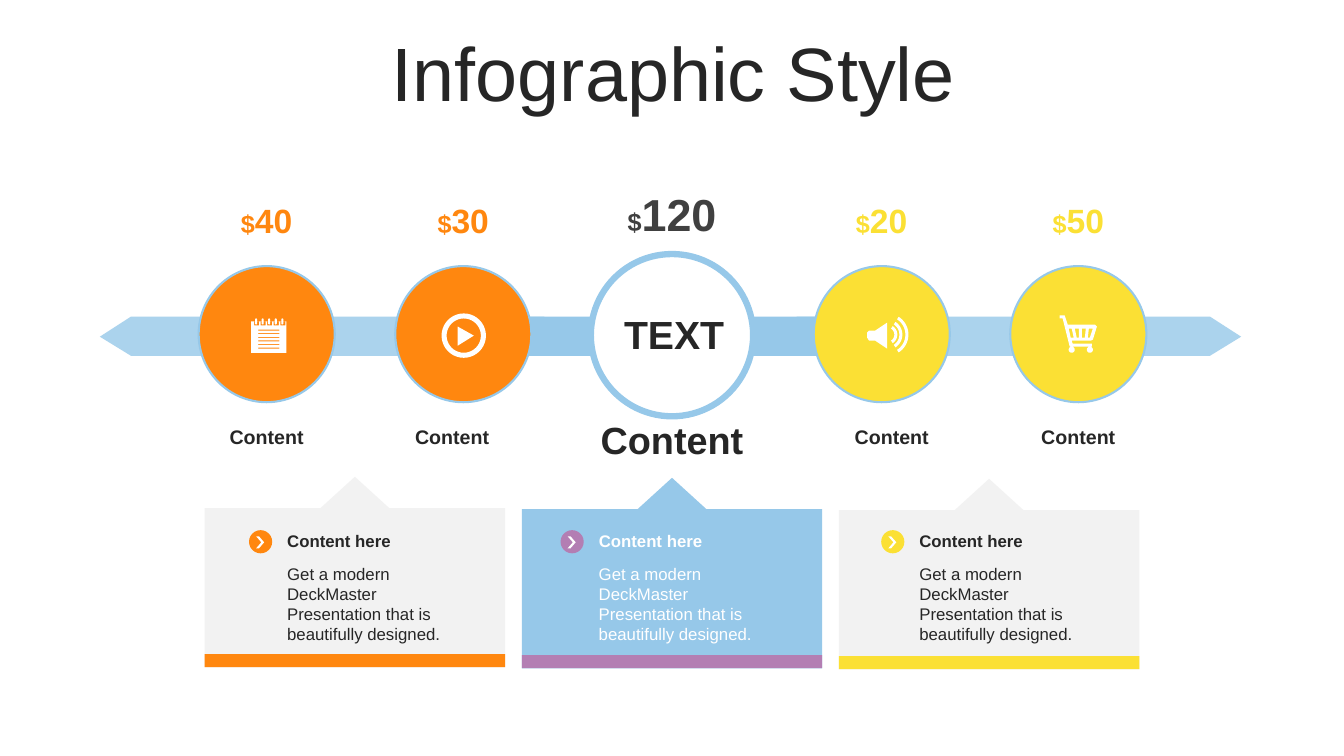
from dataclasses import dataclass
from math import cos, pi, sin
from typing import NamedTuple

from lxml import etree
from pptx import Presentation
from pptx.dml.color import RGBColor
from pptx.enum.shapes import MSO_SHAPE
from pptx.enum.text import MSO_ANCHOR, PP_ALIGN
from pptx.oxml.ns import qn
from pptx.util import Inches, Pt

RECTANGLE, OVAL, CHEVRON = MSO_SHAPE.RECTANGLE, MSO_SHAPE.OVAL, MSO_SHAPE.CHEVRON
LEFT, CENTER = PP_ALIGN.LEFT, PP_ALIGN.CENTER
TOP, MIDDLE = MSO_ANCHOR.TOP, MSO_ANCHOR.MIDDLE

Contour = list[tuple[float, float]]


@dataclass(frozen=True)
class Theme:
    font: str = "Arial"
    ink: str = "262626"
    gray: str = "404040"
    white: str = "FFFFFF"
    pale: str = "F2F2F2"
    blue: str = "96C8E9"
    orange: str = "FF870F"
    yellow: str = "FBE034"
    purple: str = "B37EB3"
    title: int = 54
    amount: int = 24
    main_amount: int = 32
    dollar: int = 18
    hub: int = 28
    label: int = 14
    main_label: int = 27
    body: int = 12


class Box(NamedTuple):
    left: float
    top: float
    width: float
    height: float


class Run(NamedTuple):
    text: str
    size: int
    color: str
    bold: bool = True


@dataclass(frozen=True)
class Station:
    amount: str
    color: str
    circle_left: float
    amount_left: float
    label_left: float


@dataclass(frozen=True)
class Card:
    fill: str
    accent: str
    ink: str
    badge_left: float


THEME = Theme()
STATIONS = [
    Station("40", THEME.orange, 1.97, 2.08, 2.08),
    Station("30", THEME.orange, 3.92, 4.03, 3.92),
    Station("20", THEME.yellow, 8.07, 8.18, 8.28),
    Station("50", THEME.yellow, 10.02, 10.13, 10.13),
]
CARDS = [
    Card(THEME.pale, THEME.orange, THEME.ink, 2.47),
    Card(THEME.blue, THEME.purple, THEME.white, 5.56),
    Card(THEME.pale, THEME.yellow, THEME.ink, 8.74),
]
CARD_LEFT, CARD_TOP, CARD_WIDTH = 2.03, 5.04, 2.98
CARD_PITCH, CARD_STEP = (8.32 - 2.03) / 2, 0.01

prs = Presentation()
prs.slide_width, prs.slide_height = Inches(13.33), Inches(7.5)
slide = prs.slides.add_slide(prs.slide_layouts[5])


def emu(box: Box) -> list[int]:
    return [Inches(value) for value in box]


def paint(shape, fill: str, line: str | None = None, weight: float = 0) -> None:
    shape.shadow.inherit = False
    shape.fill.solid()
    shape.fill.fore_color.rgb = RGBColor.from_string(fill)
    if line:
        shape.line.color.rgb = RGBColor.from_string(line)
        shape.line.width = Pt(weight)
    else:
        shape.line.fill.background()


def draw_shape(kind, box: Box, fill: str, line: str | None = None, weight: float = 0):
    shape = slide.shapes.add_shape(kind, *emu(box))
    paint(shape, fill, line, weight)
    return shape


def draw_outline(contours: list[Contour], fill: str):
    points = [[(Inches(x), Inches(y)) for x, y in contour] for contour in contours]
    builder = slide.shapes.build_freeform(*points[0][0], scale=1.0)
    builder.add_line_segments(points[0][1:], close=True)
    for contour in points[1:]:
        builder.move_to(*contour[0])
        builder.add_line_segments(contour[1:], close=True)
    shape = builder.convert_to_shape()
    paint(shape, fill)
    return shape


def write(frame, runs: list[Run], align=CENTER, anchor=MIDDLE):
    frame.word_wrap = True
    frame.vertical_anchor = anchor
    paragraph = frame.paragraphs[0]
    paragraph.alignment = align
    for item in runs:
        run = paragraph.add_run()
        run.text = item.text
        run.font.name = THEME.font
        run.font.size = Pt(item.size)
        run.font.bold = item.bold
        run.font.color.rgb = RGBColor.from_string(item.color)
    return paragraph


def draw_text(box: Box, runs: list[Run], align=CENTER, anchor=MIDDLE) -> None:
    write(slide.shapes.add_textbox(*emu(box)).text_frame, runs, align, anchor)


def rect(left: float, top: float, width: float, height: float) -> Contour:
    right, bottom = left + width, top + height
    return [(left, top), (right, top), (right, bottom), (left, bottom)]


def arc(x: float, y: float, radius: float, start: float, end: float, steps: int = 40) -> Contour:
    angles = [start + (end - start) * i / steps for i in range(steps + 1)]
    return [(x + radius * cos(a), y + radius * sin(a)) for a in angles]


def circle(x: float, y: float, radius: float) -> Contour:
    return arc(x, y, radius, 0, 2 * pi)[:-1]


def capsule(x: float, top: float, bottom: float, radius: float) -> Contour:
    return arc(x, top + radius, radius, pi, 2 * pi, 8) + arc(x, bottom - radius, radius, 0, pi, 8)


def sound_wave(radius: float) -> Contour:
    return arc(8.8, 3.32, radius, -1, 1) + arc(8.8, 3.32, radius - 0.03, 1, -1)


def draw_card(index: int, card: Card) -> None:
    left = CARD_LEFT + index * CARD_PITCH
    top = CARD_TOP + index * CARD_STEP
    right, bottom, middle = left + CARD_WIDTH, top + 1.58, left + CARD_WIDTH / 2
    draw_outline([[(left, bottom), (left, top), (middle - 0.34, top), (middle, top - 0.31),
                   (middle + 0.34, top), (right, top), (right, bottom)]], card.fill)
    draw_shape(RECTANGLE, Box(left, bottom - 0.13, CARD_WIDTH, 0.13), card.accent)
    draw_shape(OVAL, Box(card.badge_left, 5.26, 0.23, 0.23), card.accent)
    chevron = draw_shape(CHEVRON, Box(card.badge_left + 0.07, 5.32, 0.08, 0.12), THEME.white)
    chevron.adjustments[0] = 0.65
    text_left = card.badge_left + 0.28
    draw_text(Box(text_left, 5.22, 1.38, 0.3), [Run("Content here", THEME.body, card.ink)], LEFT)
    detail = "Get a modern DeckMaster Presentation that is beautifully designed."
    draw_text(Box(text_left, 5.54, 2.03, 0.91), [Run(detail, THEME.body, card.ink, False)], LEFT, TOP)


def draw_amount(box: Box, amount: str, size: int, color: str) -> None:
    draw_text(box, [Run("$", THEME.dollar, color), Run(amount, size, color)])


title = slide.shapes.title
title.left, title.top, title.width, title.height = emu(Box(0.35, 0.37, 12.66, 0.79))
write(title.text_frame, [Run("Infographic Style", THEME.title, THEME.ink, False)]).line_spacing = 0.9

left_arrow = [(0.99, 3.34), (1.3, 3.14), (5.4, 3.14), (5.4, 3.53), (1.3, 3.53)]
right_arrow = [(13.3 - x, y) for x, y in left_arrow]
for arrow in (right_arrow, left_arrow):
    band = draw_outline([arrow], THEME.blue)
    color = band.fill._xPr.find(qn("a:solidFill"))[0]
    etree.SubElement(color, qn("a:alpha"), val="80000")
draw_shape(RECTANGLE, Box(4.98, 3.14, 3.95, 0.39), THEME.blue)

draw_shape(OVAL, Box(5.86, 2.52, 1.61, 1.61), THEME.white, THEME.blue, 4.5)
draw_text(Box(5.99, 3.03, 1.39, 0.57), [Run("TEXT", THEME.hub, THEME.ink)])
draw_text(Box(5.76, 4.08, 1.81, 0.56), [Run("Content", THEME.main_label, THEME.ink)])
draw_amount(Box(5.97, 1.8, 1.39, 0.64), "120", THEME.main_amount, THEME.gray)
for station in STATIONS:
    draw_shape(OVAL, Box(station.circle_left, 2.64, 1.35, 1.35), station.color, THEME.blue, 1.5)
    draw_amount(Box(station.amount_left, 1.93, 1.13, 0.5), station.amount, THEME.amount, station.color)
    draw_text(Box(station.label_left, 4.16, 1.13, 0.34), [Run("Content", THEME.label, THEME.ink)])

for position, card in enumerate(CARDS):
    draw_card(position, card)

rings = [2.54 + i * (2.8 - 2.54) / 4 for i in range(5)]
ruled_lines = [rect(2.56, 3.27 + i * (3.45 - 3.27) / 5, 0.21, 0.01) for i in range(6)]
notches = [rect(x - 0.02, 3.19, 0.05, 0.04) for x in rings]
notepad = [rect(2.49, 3.19, 0.35, 0.31), *ruled_lines, *notches]
notepad += [capsule(x, 3.16, 3.22, 0.01) for x in rings]
play = [circle(4.6, 3.33, 0.22), circle(4.6, 3.33, 0.17), [(4.54, 3.24), (4.7, 3.33), (4.54, 3.43)]]
speaker = [[(8.8, 3.2), (8.8, 3.46), (8.68, 3.38), (8.62, 3.38), (8.6, 3.35), (8.6, 3.3),
            (8.62, 3.28), (8.68, 3.28)], *map(sound_wave, (0.1, 0.15, 0.21))]
cart = [
    [(10.51, 3.13), (10.56, 3.13), (10.59, 3.22), (10.86, 3.22), (10.88, 3.24), (10.84, 3.37),
     (10.82, 3.38), (10.63, 3.38), (10.64, 3.41), (10.83, 3.41), (10.83, 3.44), (10.61, 3.44),
     (10.54, 3.16), (10.51, 3.16)],
    [(10.8, 3.26), (10.79, 3.35), (10.81, 3.35), (10.84, 3.26)],
    [(10.73, 3.26), (10.73, 3.35), (10.76, 3.35), (10.77, 3.26)],
    [(10.66, 3.26), (10.68, 3.35), (10.7, 3.35), (10.7, 3.26)],
    [(10.6, 3.26), (10.62, 3.35), (10.65, 3.35), (10.63, 3.26)],
    circle(10.63, 3.47, 0.03), circle(10.81, 3.47, 0.03),
]
for icon in (notepad, play, speaker, cart):
    draw_outline(icon, THEME.white)

prs.save("out.pptx")
